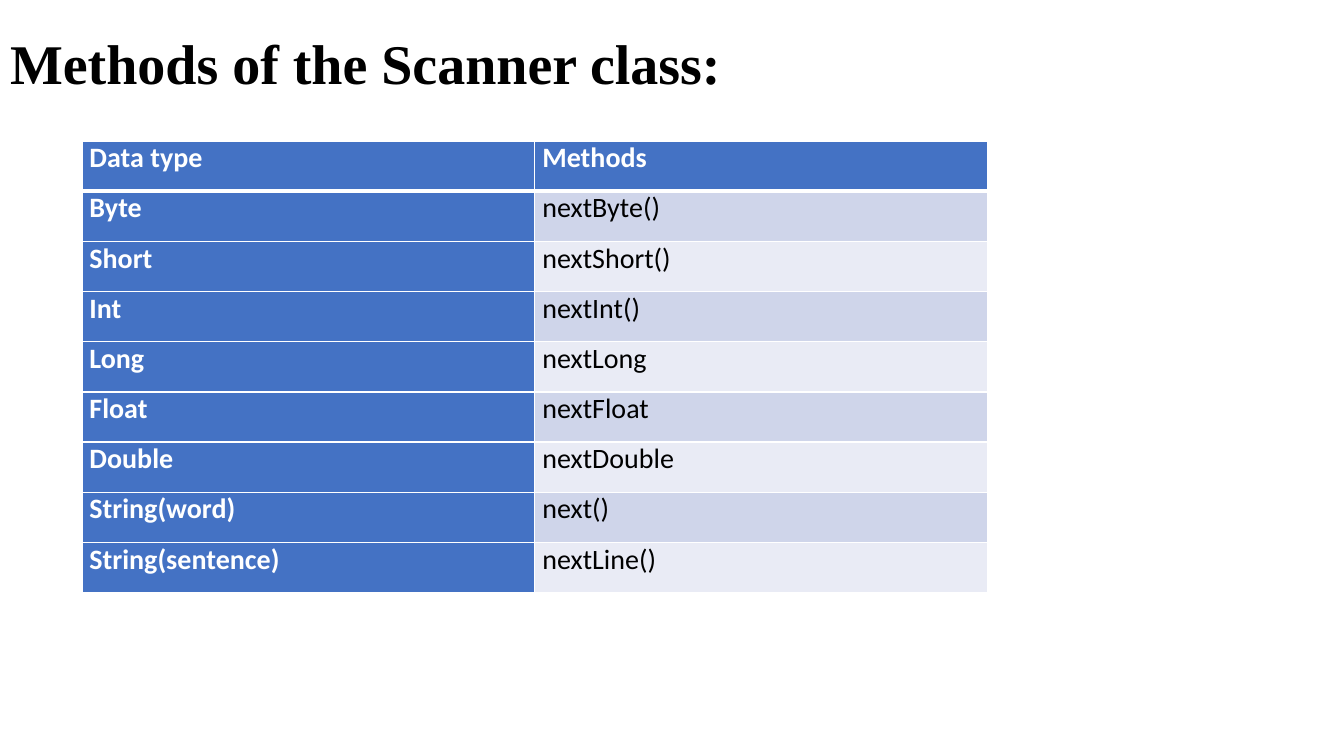
from typing import NamedTuple

from lxml.etree import SubElement
from pptx import Presentation
from pptx.dml.color import RGBColor
from pptx.enum.text import MSO_ANCHOR, MSO_AUTO_SIZE, PP_ALIGN
from pptx.oxml.ns import qn
from pptx.slide import Slide
from pptx.table import _Cell
from pptx.text.text import TextFrame
from pptx.util import Pt

BLACK = RGBColor(0x00, 0x00, 0x00)
WHITE = RGBColor(0xFF, 0xFF, 0xFF)
BLUE = RGBColor(0x44, 0x72, 0xC4)
BAND_DARK = RGBColor(0xCF, 0xD5, 0xEA)
BAND_LIGHT = RGBColor(0xE9, 0xEB, 0xF5)

COLUMN_WIDTH = Pt(323.5)
ROW_HEIGHT = Pt(35.85)
THIN = Pt(1)
THICK = Pt(3)


class ScannerMethod(NamedTuple):
    data_type: str
    method: str


HEADING = ScannerMethod("Data type", "Methods")
SCANNER_METHODS = [
    ScannerMethod("Byte", "nextByte()"),
    ScannerMethod("Short", "nextShort()"),
    ScannerMethod("Int", "nextInt()"),
    ScannerMethod("Long", "nextLong"),
    ScannerMethod("Float", "nextFloat"),
    ScannerMethod("Double", "nextDouble"),
    ScannerMethod("String(word)", "next()"),
    ScannerMethod("String(sentence)", "nextLine()"),
]


def write_text(frame: TextFrame, text: str, *, font: str, size: float,
               color: RGBColor, bold: bool = False,
               align: PP_ALIGN = PP_ALIGN.LEFT, spacing: float = 1.0) -> None:
    paragraph = frame.paragraphs[0]
    paragraph.alignment = align
    paragraph.line_spacing = spacing
    run = paragraph.add_run()
    run.text = text
    run.font.name = font
    run.font.size = Pt(size)
    run.font.bold = bold
    run.font.color.rgb = color


def set_borders(cell: _Cell, top: int, bottom: int) -> None:
    properties = cell._tc.get_or_add_tcPr()
    widths = {"a:lnL": THIN, "a:lnR": THIN, "a:lnT": top, "a:lnB": bottom}
    for side, width in widths.items():
        border = SubElement(properties, qn(side), w=str(int(width)))
        fill = SubElement(border, qn("a:solidFill"))
        SubElement(fill, qn("a:srgbClr"), val=str(WHITE))


def format_cell(cell: _Cell, text: str, row: int, column: int) -> None:
    emphasized = row == 0 or column == 0
    band = BAND_DARK if row % 2 else BAND_LIGHT
    cell.margin_left = cell.margin_right = Pt(5.4)
    cell.margin_top = cell.margin_bottom = Pt(0)
    set_borders(cell, top=THICK if row == 1 else THIN,
                bottom=THICK if row == 0 else THIN)
    cell.fill.solid()
    cell.fill.fore_color.rgb = BLUE if emphasized else band
    write_text(cell.text_frame, text, font="Calibri", size=20,
               color=WHITE if emphasized else BLACK, bold=emphasized,
               align=PP_ALIGN.JUSTIFY)


def add_heading(slide: Slide) -> None:
    title = slide.shapes.title
    title.left, title.top = Pt(0), Pt(13.7)
    title.width, title.height = Pt(969), Pt(250)
    frame = title.text_frame
    frame.word_wrap = True
    frame.auto_size = MSO_AUTO_SIZE.NONE
    frame.vertical_anchor = MSO_ANCHOR.TOP
    write_text(frame, "Methods of the Scanner class:", font="Times New Roman",
               size=40, color=BLACK, bold=True, spacing=1.07)


def add_methods_table(slide: Slide) -> None:
    rows = [HEADING, *SCANNER_METHODS]
    columns = len(HEADING)
    table = slide.shapes.add_table(
        len(rows), columns, Pt(58.5), Pt(100.8),
        COLUMN_WIDTH * columns, ROW_HEIGHT * len(rows)).table
    table.first_col = True
    for column in table.columns:
        column.width = COLUMN_WIDTH
    for row_index, entry in enumerate(rows):
        table.rows[row_index].height = ROW_HEIGHT
        for column_index, text in enumerate(entry):
            format_cell(table.cell(row_index, column_index), text,
                        row_index, column_index)


def main() -> None:
    presentation = Presentation()
    presentation.slide_width = Pt(960)
    presentation.slide_height = Pt(540)
    slide = presentation.slides.add_slide(presentation.slide_layouts[5])
    add_heading(slide)
    add_methods_table(slide)
    presentation.save("out.pptx")


if __name__ == "__main__":
    main()
